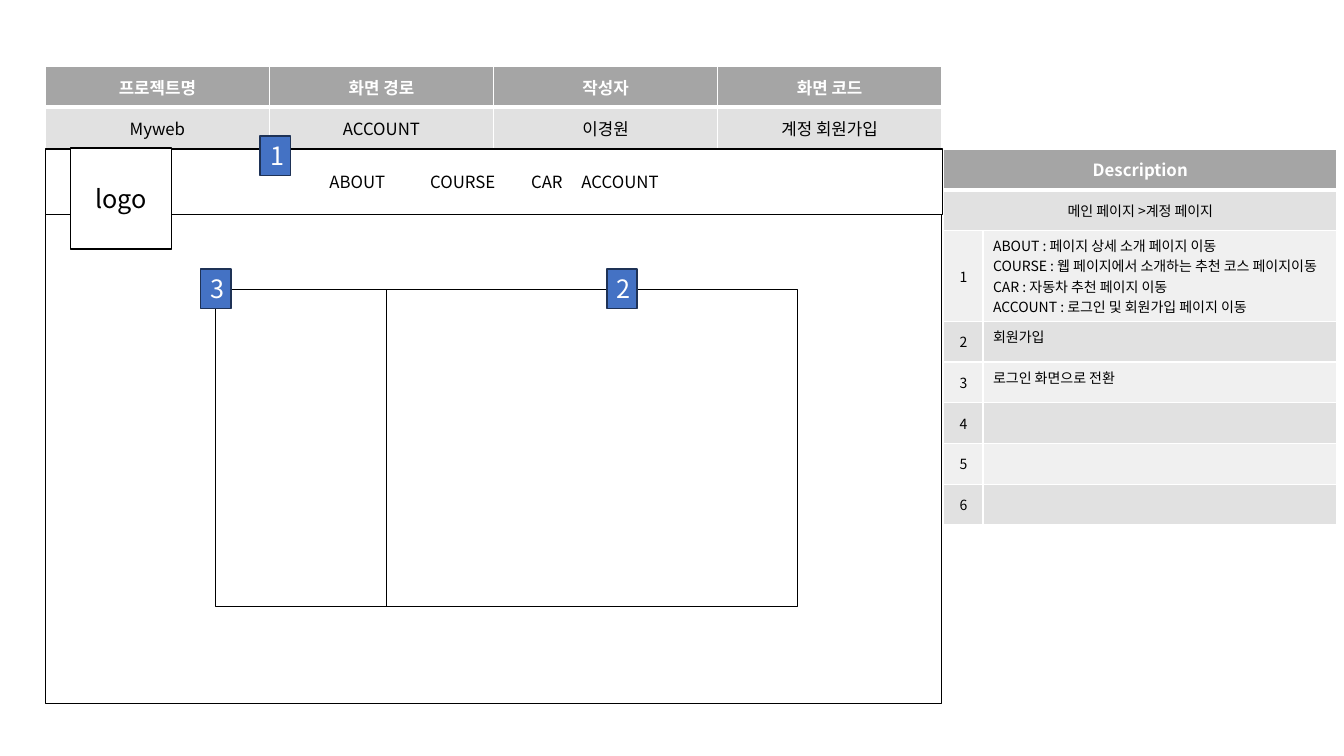
from lxml.etree import SubElement
from pptx import Presentation
from pptx.dml.color import RGBColor
from pptx.enum.shapes import MSO_CONNECTOR, MSO_SHAPE
from pptx.enum.text import MSO_ANCHOR, PP_ALIGN
from pptx.oxml.ns import qn
from pptx.util import Inches, Pt

THEME = {
    "font": "Noto Sans CJK KR",
    "white": RGBColor(0xFF, 0xFF, 0xFF),
    "black": RGBColor(0x00, 0x00, 0x00),
    "header": RGBColor(0xA5, 0xA5, 0xA5),
    "dark band": RGBColor(0xE1, 0xE1, 0xE1),
    "light band": RGBColor(0xF0, 0xF0, 0xF0),
    "marker": RGBColor(0x44, 0x72, 0xC4),
    "marker line": RGBColor(0x1E, 0x32, 0x56),
    "large": Pt(18),
    "medium": Pt(12),
    "small": Pt(10),
}


def write(text_frame, text, size, color, align=PP_ALIGN.CENTER, bold=False):
    text_frame.text = text
    for paragraph in text_frame.paragraphs:
        paragraph.alignment = align
        font = paragraph.font
        font.name, font.size, font.bold = THEME["font"], size, bold
        font.color.rgb = color
        # Hangul takes the East Asian typeface
        properties = paragraph._p.pPr.find(qn("a:defRPr"))
        SubElement(properties, qn("a:ea"), typeface=THEME["font"])
        if not text:
            SubElement(paragraph._p, qn("a:endParaRPr"), sz=str(int(size.pt * 100)))


def style_cell(cell, fill, top=1, bottom=1):
    # White borders come before the fill in the cell properties
    properties = cell._tc.get_or_add_tcPr()
    for side, width in (("lnL", 1), ("lnR", 1), ("lnT", top), ("lnB", bottom)):
        border = SubElement(properties, qn(f"a:{side}"), w=str(Pt(width)))
        solid = SubElement(border, qn("a:solidFill"))
        SubElement(solid, qn("a:srgbClr"), val=str(THEME["white"]))
    cell.fill.solid()
    cell.fill.fore_color.rgb = fill


presentation = Presentation()
presentation.slide_width, presentation.slide_height = Inches(13.33), Inches(7.5)
slide = presentation.slides.add_slide(presentation.slide_layouts[6])

# Project table
project_rows = [
    ["프로젝트명", "화면 경로", "작성자", "화면 코드"],
    ["Myweb", "ACCOUNT", "이경원", "계정 회원가입"],
]
project_table = slide.shapes.add_table(
    2, 4, Inches(0.45), Inches(0.66), Inches(8.89), Inches(0.81)).table
for row, texts in enumerate(project_rows):
    is_header = row == 0
    for column, text in enumerate(texts):
        cell = project_table.cell(row, column)
        cell.vertical_anchor = MSO_ANCHOR.MIDDLE
        write(cell.text_frame, text, THEME["medium"],
              THEME["white" if is_header else "black"], bold=is_header)
        style_cell(cell, THEME["header" if is_header else "dark band"],
                   top=1 if is_header else 3, bottom=3 if is_header else 1)

# Description table
notes = [
    "ABOUT : 페이지 상세 소개 페이지 이동\n"
    "COURSE : 웹 페이지에서 소개하는 추천 코스 페이지이동\n"
    "CAR : 자동차 추천 페이지 이동\n"
    "ACCOUNT : 로그인 및 회원가입 페이지 이동",
    "회원가입", "로그인 화면으로 전환", "", "", "",
]
description_rows = [["Description", ""], ["메인 페이지 >계정 페이지", ""]]
description_rows += [[str(number), note] for number, note in enumerate(notes, 1)]
description_table = slide.shapes.add_table(
    8, 2, Inches(9.36), Inches(1.48), Inches(3.9), Inches(3.73)).table
description_table.columns[0].width = Inches(0.39)
description_table.columns[1].width = Inches(3.51)
for row, texts in enumerate(description_rows):
    is_header = row == 0
    description_table.rows[row].height = Inches(0.9 if row == 2 else 0.404)
    if row < 2:
        description_table.cell(row, 0).merge(description_table.cell(row, 1))
    band = "header" if is_header else "dark band" if row % 2 else "light band"
    for column, text in enumerate(texts):
        cell = description_table.cell(row, column)
        is_note = column == 1
        cell.vertical_anchor = MSO_ANCHOR.TOP if is_note else MSO_ANCHOR.MIDDLE
        write(cell.text_frame, text, THEME["medium" if is_header else "small"],
              THEME["white" if is_header else "black"],
              PP_ALIGN.LEFT if is_note else PP_ALIGN.CENTER, is_header)
        style_cell(cell, THEME[band], top=3 if row == 1 else 1,
                   bottom=3 if is_header else 1)

# Screen mock-up and numbered markers, from back to front:
# left, top, width, height, fill, line, line width, text, text size
boxes = [
    (0.45, 1.48, 8.89, 5.5, None, "black", 0.75, "", None),
    (0.45, 1.48, 8.9, 0.65, "white", "black", 1, "ABOUT\tCOURSE\tCAR\tACCOUNT", "medium"),
    (0.7, 1.47, 1, 1, "white", "black", 1, "logo", "large"),
    (2.14, 2.87, 5.77, 3.15, "white", "black", 1, "", None),
]
markers = [("1", 2.58, 1.35), ("2", 6.02, 2.67), ("3", 1.99, 2.67)]
boxes += [(left, top, 0.3, 0.39, "marker", "marker line", 1, number, "large")
          for number, left, top in markers]
for left, top, width, height, fill, line, line_width, text, size in boxes:
    shape = slide.shapes.add_shape(
        MSO_SHAPE.RECTANGLE, Inches(left), Inches(top), Inches(width), Inches(height))
    shape.shadow.inherit = False
    shape.line.color.rgb = THEME[line]
    shape.line.width = Pt(line_width)
    if fill:
        shape.fill.solid()
        shape.fill.fore_color.rgb = THEME[fill]
    else:
        shape.fill.background()
    if text:
        shape.text_frame.vertical_anchor = MSO_ANCHOR.MIDDLE
        write(shape.text_frame, text, THEME[size],
              THEME["white" if fill == "marker" else "black"])

# Divider between the two panels of the form
divider = slide.shapes.add_connector(
    MSO_CONNECTOR.STRAIGHT, Inches(3.83), Inches(2.87), Inches(3.83), Inches(6.02))
divider.line.color.rgb = THEME["black"]
divider.line.width = Pt(0.5)
SubElement(divider._element.spPr, qn("a:effectLst"))

presentation.save("out.pptx")
